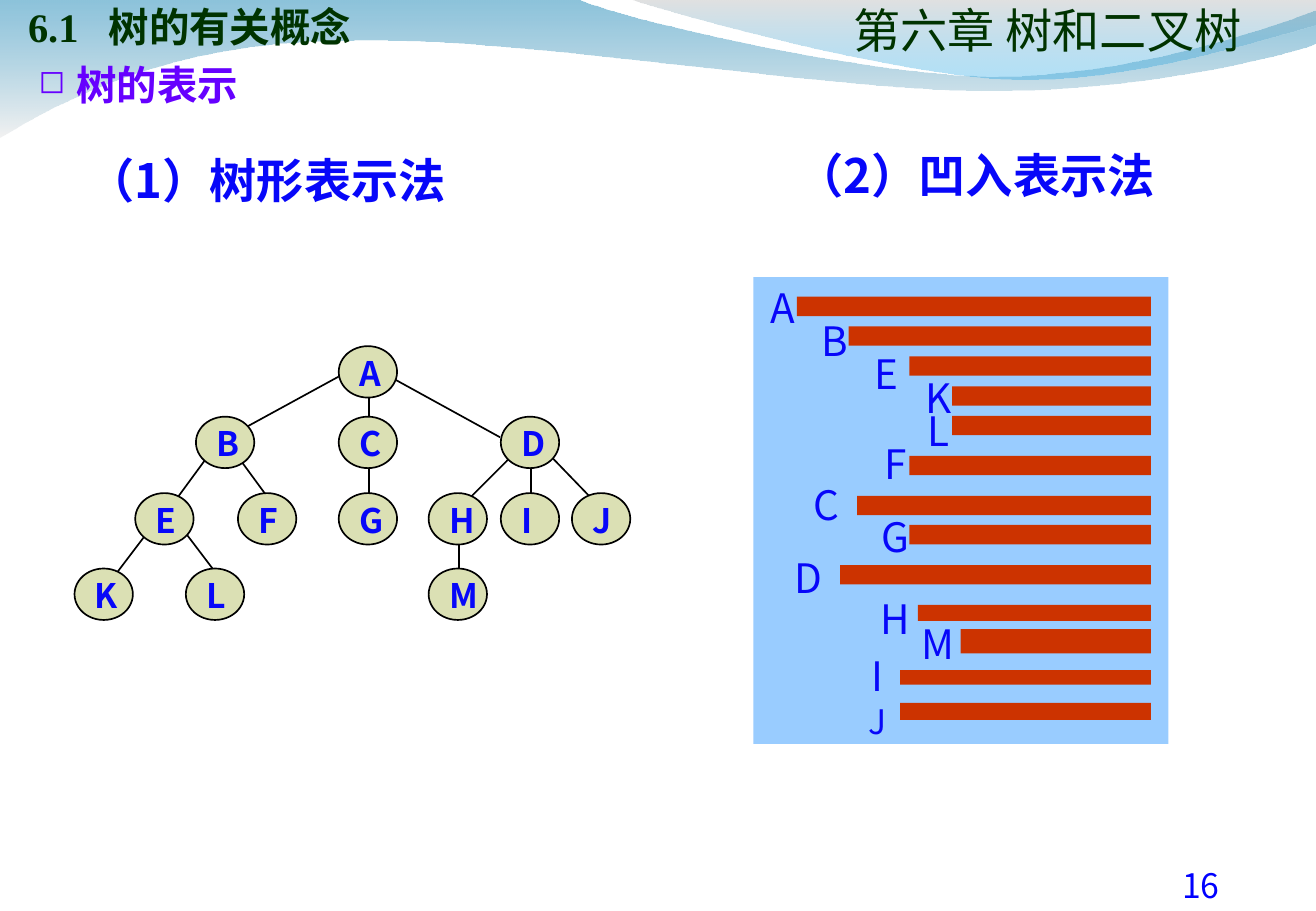
from lxml import etree
from pptx import Presentation
from pptx.dml.color import RGBColor
from pptx.enum import shapes as kinds, text as modes
from pptx.oxml.ns import qn
from pptx.util import Pt

SIZE = (780.48, 540)
COLORS = {"label": "0707F9", "page": "0000FF", "heading": "003300", "topic": "6600FF",
          "node": "DBE0B4", "edge": "000000", "panel": "99CCFF", "bar": "CC3300",
          "sea": "0079AF", "mist": "E7E7E7", "haze": "BCBCBC", "sky": "009BE5"}
SANS, SERIF = "Noto Sans CJK SC", "Times New Roman"
LEFT, CENTER = modes.PP_ALIGN.LEFT, modes.PP_ALIGN.CENTER
TOP, MIDDLE, BOTTOM = modes.MSO_ANCHOR.TOP, modes.MSO_ANCHOR.MIDDLE, modes.MSO_ANCHOR.BOTTOM

WAVES = [
    ([(0, 0), (343.4, 0), (370.8, 12.2, 517.7, 45.4, 591.8, 45.4),
      (665.3, 45.4, 747.4, 18.7, 779.8, 6.5), (780.48, 25.9),
      (766.8, 31.7, 678.2, 54.7, 581.8, 54), (485.3, 53.3, 298.1, 20.2, 200.9, 24.5),
      (100.8, 25.2, 36, 59.8, 0, 81.4)],
     [("sea", 45), ("mist", 55)]),
    ([(373.7, 0), (397.4, 7.9, 532.1, 44.6, 599.8, 46.8),
      (667.4, 49.7, 750.2, 23, 780.48, 15.1), (780.48, 0)],
     [("haze", 45), ("sky", 30)]),
]
CAPTIONS = [("（1）树形表示法", 38.6, 86.2), ("（2）凹入表示法", 459.1, 83.3)]

NODE_SIZE = (34.6, 30.5)
TREE_ROWS = [
    (205.2, {"A": 200.9}),
    (247, {"B": 116.2, "C": 200.9, "D": 297}),
    (292.3, {"E": 80.2, "F": 141.1, "G": 200.9, "H": 254.2, "I": 297, "J": 339.2}),
    (337, {"K": 44.2, "L": 110.2, "M": 254.2}),
]
EDGES = {
    "AB": (200.9, 223.2, 146.9, 252.7), "AC": (218.9, 234.7, 218.9, 247),
    "AD": (231.1, 223.2, 296.6, 259.2), "BE": (123.1, 270.7, 105.1, 295.2),
    "BF": (141.1, 270.7, 159.1, 295.2), "CG": (218.9, 277.2, 218.9, 295.2),
    "DH": (303.1, 270.7, 278.6, 295.2), "DI": (315, 277.2, 315, 295.2),
    "DJ": (326.9, 270.7, 350.6, 295.2), "EK": (87.1, 316.1, 69.1, 339.8),
    "EL": (110.2, 316.1, 128.2, 339.8), "HM": (272.2, 321.8, 272.2, 339.8),
}

PANEL = (446.8, 164.3, 246.2, 276.7)
BAR_RIGHT = 682.6
INDENTED = [
    ("A", 446.8, 164.2, 24, 472.6, 175.9, 11.5),
    ("B", 477.7, 183.6, 24, 503.3, 193.5, 11.5),
    ("E", 508.5, 203.2, 24, 539.3, 211.2, 11.5),
    ("K", 539.3, 217.4, 24, 564.7, 229, 11.5),
    ("L", 539.3, 236.9, 24, 564.7, 246.5, 11.5),
    ("F", 513.6, 256.5, 24, 539.3, 270.2, 11.5),
    ("C", 472.6, 280.8, 24, 508.3, 293.9, 11.5),
    ("G", 513.6, 300.2, 24, 539.3, 311.2, 11.5),
    ("D", 462.2, 324.5, 24, 498.2, 335, 11.5),
    ("H", 513.6, 348.8, 24, 544.3, 358.6, 9.4),
    ("M", 539.1, 363.6, 24, 569.8, 373, 14.4),
    ("I", 503.3, 382.5, 24, 533.9, 397.2, 8.6),
    ("J", 503.3, 411.8, 20, 533.9, 416.7, 10.1),
]


def rgb(name):
    return RGBColor.from_string(COLORS[name])


def write(holder, words, size=24, color="label", font=SANS, bold=False, align=CENTER,
          anchor=TOP, insets=(7.2, 3.6, 7.2, 3.6), wrap=True, bullet=None, indent=0, tab=None):
    frame = holder.text_frame
    frame.word_wrap = wrap
    frame.auto_size = modes.MSO_AUTO_SIZE.NONE
    frame.vertical_anchor = anchor
    frame.margin_left, frame.margin_top, frame.margin_right, frame.margin_bottom = map(Pt, insets)
    line = frame.paragraphs[0]
    line.alignment = align
    props = line._p.get_or_add_pPr()
    if bullet:
        props.set("marL", str(Pt(indent)))
        props.set("indent", str(-Pt(indent)))
        etree.SubElement(props, qn("a:buSzPct")).set("val", "80000")
        etree.SubElement(props, qn("a:buChar")).set("char", bullet)
    if tab:
        stops = etree.SubElement(props, qn("a:tabLst"))
        etree.SubElement(stops, qn("a:tab"), pos=str(Pt(tab)), algn="l")
    run = line.add_run()
    run.text = words
    run.font.size, run.font.bold, run.font.name = Pt(size), bold, font
    run.font.color.rgb = rgb(color)
    etree.SubElement(run._r.get_or_add_rPr(), qn("a:ea")).set("typeface", SANS)


def add_text(slide, words, place, **look):
    write(slide.shapes.add_textbox(*map(Pt, place)), words, **look)


def add_block(slide, kind, place, fill, outline=None):
    block = slide.shapes.add_shape(kind, *map(Pt, place))
    block.shadow.inherit = False
    block.fill.solid()
    block.fill.fore_color.rgb = rgb(fill)
    if outline:
        block.line.color.rgb = rgb(outline)
        block.line.width = Pt(1)
    else:
        block.line.fill.background()
    return block


def bend(wave, sides):
    for side, numbers in zip(list(wave.element.iter(qn("a:lnTo"))), sides):
        if len(numbers) == 2:
            continue
        curve = etree.Element(qn("a:cubicBezTo"))
        for x, y in zip(numbers[::2], numbers[1::2]):
            etree.SubElement(curve, qn("a:pt"), x=str(Pt(x) - wave.left), y=str(Pt(y) - wave.top))
        side.getparent().replace(side, curve)


def add_wave(slide, outline, tints):
    corners = [tuple(map(Pt, part[-2:])) for part in outline]
    builder = slide.shapes.build_freeform(*corners[0], scale=1.0)
    builder.add_line_segments(corners[1:], close=True)
    wave = builder.convert_to_shape()
    bend(wave, outline[1:])
    wave.shadow.inherit = False
    wave.line.fill.background()
    wave.fill.gradient()
    wave.fill.gradient_angle = 270
    for stop, (tint, _) in zip(wave.fill.gradient_stops, tints):
        stop.color.rgb = rgb(tint)
    for shade, (_, opacity) in zip(wave.element.spPr.iter(qn("a:srgbClr")), tints):
        etree.SubElement(shade, qn("a:alpha")).set("val", str(opacity * 1000))


def add_tree(slide):
    for ends in EDGES.values():
        edge = slide.shapes.add_connector(kinds.MSO_CONNECTOR.STRAIGHT, *map(Pt, ends))
        edge.line.color.rgb = rgb("edge")
        edge.line.width = Pt(1)
        etree.SubElement(edge.element.spPr, qn("a:effectLst"))
    for top, row in TREE_ROWS:
        for letter, left in row.items():
            node = add_block(slide, kinds.MSO_SHAPE.OVAL, (left, top, *NODE_SIZE), "node", "edge")
            write(node, letter, size=20, bold=True, align=LEFT, anchor=MIDDLE,
                  insets=(7.2, 1, 0, 0), wrap=False)


def add_indented_list(slide):
    add_block(slide, kinds.MSO_SHAPE.RECTANGLE, PANEL, "panel")
    for letter, x, y, size, left, top, height in INDENTED:
        add_block(slide, kinds.MSO_SHAPE.RECTANGLE, (left, top, BAR_RIGHT - left, height), "bar")
        add_text(slide, letter, (x, y, 34.6, 36), size=size)


def main():
    deck = Presentation()
    deck.slide_width, deck.slide_height = map(Pt, SIZE)
    slide = deck.slides.add_slide(deck.slide_layouts[5])
    for outline, tints in WAVES:
        add_wave(slide, outline, tints)
    add_text(slide, "16", (646.3, 509, 131.8, 36.7), size=20, color="page")
    add_text(slide, "第六章 树和二叉树", (502.8, -22.3, 236.9, 56.9), size=28, color="heading",
             font=SERIF, anchor=BOTTOM, insets=(0, 3.6, 0, 0))
    for words, left, top in CAPTIONS:
        add_text(slide, words, (left, top, 239, 75), size=28, bold=True)
    add_indented_list(slide)
    add_tree(slide)
    title = slide.shapes.title
    title.left, title.top, title.width, title.height = map(Pt, (16.6, -30.2, 702, 60.5))
    write(title, "6.1\t树的有关概念", color="heading", font=SERIF, bold=True, align=LEFT,
          anchor=BOTTOM, insets=(0, 3.6, 0, 0), tab=47.8)
    slide.shapes.element.append(title.element)
    add_text(slide, "树的表示", (15.8, 32, 333.4, 36), color="topic", font=SERIF, bold=True,
             align=LEFT, bullet="◻", indent=22.4)
    deck.save("out.pptx")


if __name__ == "__main__":
    main()
